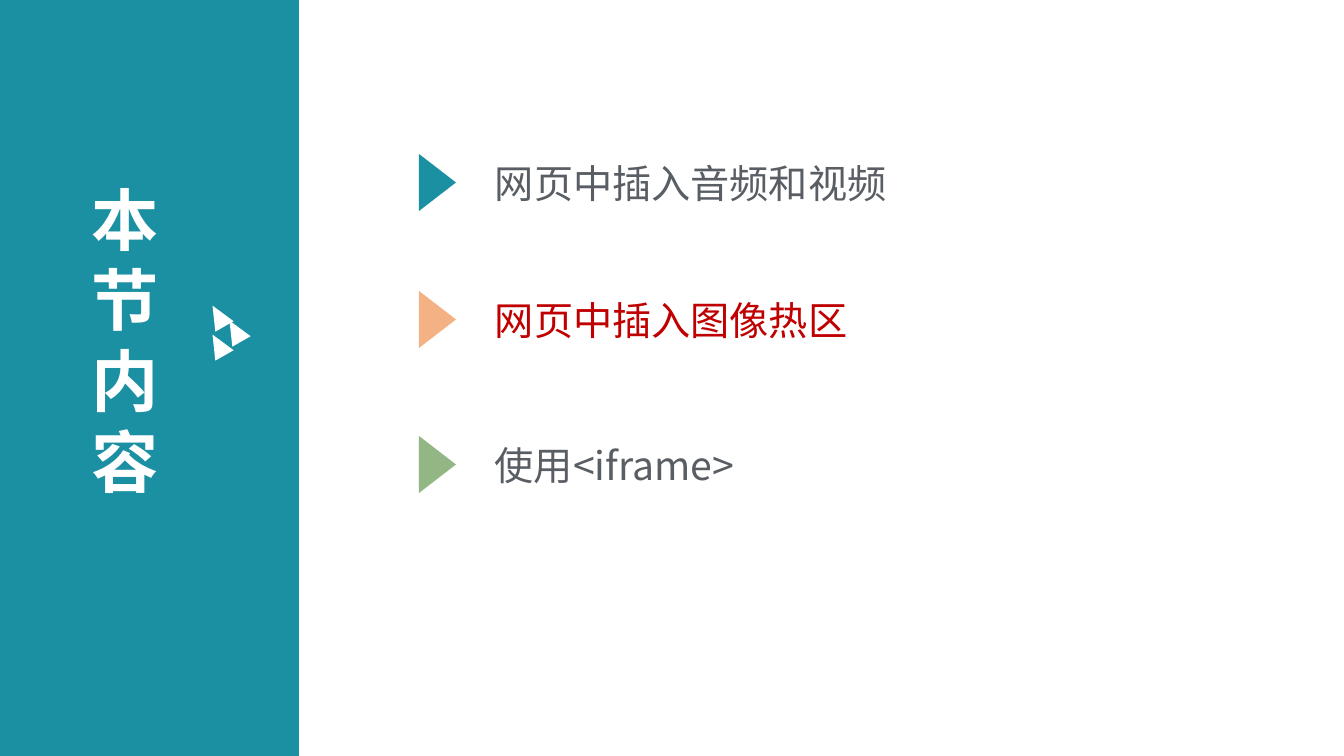
from pptx import Presentation
from pptx.dml.color import RGBColor
from pptx.enum.shapes import MSO_SHAPE as Shape
from pptx.enum.text import MSO_ANCHOR as Anchor, MSO_AUTO_SIZE as Fit, PP_ALIGN as Align
from pptx.oxml.ns import qn
from pptx.util import Pt
from lxml.etree import SubElement

TEAL = RGBColor(0x1B, 0x90, 0xA2)
PEACH = RGBColor(0xF4, 0xB1, 0x83)
GREEN = RGBColor(0x93, 0xB7, 0x84)
GREY = RGBColor(0x59, 0x5E, 0x64)
RED = RGBColor(0xC0, 0x00, 0x00)
WHITE = RGBColor(0xFF, 0xFF, 0xFF)
FONT = "Noto Sans CJK SC"

HEAD = "本节内容"
ROWS = [
    ("网页中插入音频和视频", 183, 495, TEAL, GREY),
    ("网页中插入图像热区", 320, 495, PEACH, RED),
    ("使用<iframe>", 465, 367, GREEN, GREY),
]
CHIPS = [(208, 304), (208, 333), (225, 319)]


def px(*nums):
    return [round(n * 914400 / 100.8) for n in nums]


def draw(kind, box, fill, turn=0, home=None):
    part = (home or slide).shapes.add_shape(kind, *px(*box))
    part.shadow.inherit = False
    part.fill.solid()
    part.fill.fore_color.rgb = fill
    part.line.fill.background()
    part.rotation = turn


def write(part, text, look, color, anchor):
    frame = part.text_frame
    frame.word_wrap = True
    frame.auto_size = Fit.NONE
    frame.vertical_anchor = anchor
    para = frame.paragraphs[0]
    para.alignment = Align.LEFT
    run = para.add_run()
    run.text = text
    for key, val in look.items():
        setattr(run.font, key, val)
    run.font.color.rgb = color
    SubElement(run.font._element, qn("a:ea"), typeface=FONT)
    return para


deck = Presentation()
deck.slide_width, deck.slide_height = px(1344, 756)
slide = deck.slides.add_slide(deck.slide_layouts[5])

draw(Shape.RECTANGLE, (0, 0, 299, 756), TEAL)
title = slide.shapes.title
title.left, title.top, title.width, title.height = px(81, 173, 132, 336)
look = {"name": FONT, "size": Pt(48), "bold": True}
para = write(title, HEAD, look, WHITE, Anchor.TOP)
para.line_spacing = Pt(57.6)
slide.shapes._spTree.append(title._element)

mark = slide.shapes.add_group_shape()
for left, top in CHIPS:
    draw(Shape.ISOSCELES_TRIANGLE, (left, top, 21, 24), WHITE, 330.2, mark)

for text, mid, wide, fill, color in ROWS:
    draw(Shape.ISOSCELES_TRIANGLE, (409, mid - 19, 57, 37), fill, 90)
    label = slide.shapes.add_textbox(*px(485, mid - 29, wide, 57))
    write(label, text, {"name": FONT, "size": Pt(28)}, color, Anchor.MIDDLE)

deck.save("out.pptx")
